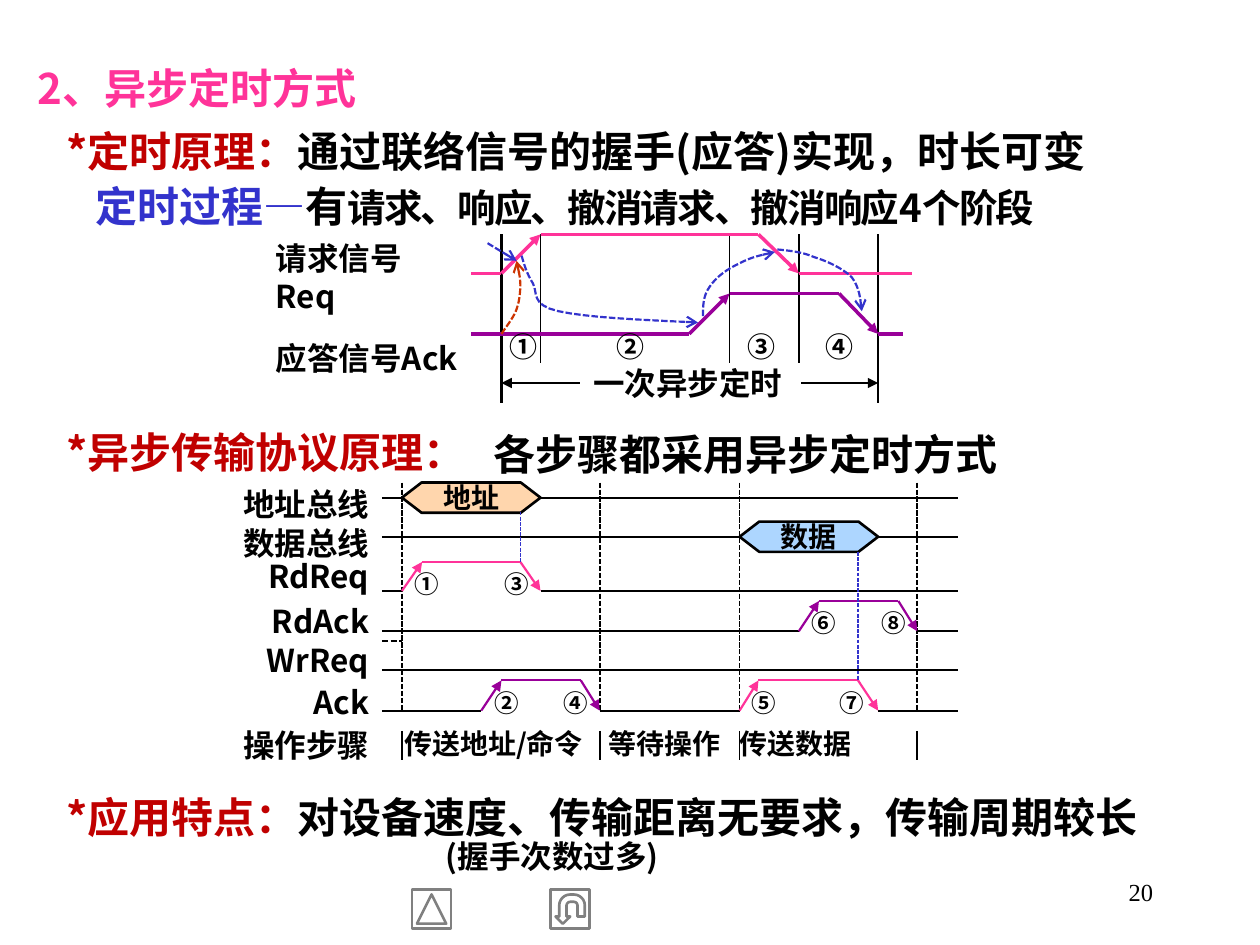
from typing import NamedTuple, Optional

from lxml import etree
from pptx import Presentation
from pptx.dml.color import RGBColor
from pptx.enum.dml import MSO_LINE
from pptx.enum.shapes import MSO_CONNECTOR, MSO_SHAPE
from pptx.enum.text import MSO_ANCHOR, PP_ALIGN
from pptx.oxml.ns import qn
from pptx.util import Inches, Pt

LEFT, CENTER, RIGHT = PP_ALIGN.LEFT, PP_ALIGN.CENTER, PP_ALIGN.RIGHT
TOP, MIDDLE = MSO_ANCHOR.TOP, MSO_ANCHOR.MIDDLE
STRAIGHT = MSO_CONNECTOR.STRAIGHT
DASH = MSO_LINE.SQUARE_DOT
BLACK = RGBColor(0x00, 0x00, 0x00)
PINK = RGBColor(0xFF, 0x33, 0x99)
PURPLE = RGBColor(0x99, 0x00, 0x99)
RED = RGBColor(0xC0, 0x00, 0x00)
BLUE = RGBColor(0x33, 0x33, 0xCC)
ORANGE = RGBColor(0xCC, 0x33, 0x00)
PEACH = RGBColor(0xFF, 0xCC, 0x99)
SKY = RGBColor(0x99, 0xCC, 0xFF)
GRAY = RGBColor(0x80, 0x80, 0x80)
CJK = "Noto Sans CJK SC"


class Run(NamedTuple):
    text: str
    size: float = 24
    color: RGBColor = BLACK
    tracking: float = 0
    font: str = CJK
    bold: bool = True


class Para(NamedTuple):
    runs: list[Run]
    pitch: Optional[float] = None
    before: float = 0
    indent: float = 0
    align: PP_ALIGN = LEFT


class Stroke(NamedTuple):
    color: RGBColor
    width: float
    dashed: bool = False
    head: Optional[str] = None


class Pulse(NamedTuple):
    """A signal that rises from x[0] to x[1] and falls from x[2] to x[3]."""
    x: tuple[float, float, float, float]
    low: float
    high: float
    color: RGBColor
    width: float


def fill_frame(frame, paras: list[Para]) -> None:
    for i, para in enumerate(paras):
        p = frame.paragraphs[0] if i == 0 else frame.add_paragraph()
        p.alignment = para.align
        if para.pitch:
            p.line_spacing = Pt(para.pitch)
        if para.before:
            p.space_before = Pt(para.before)
        if para.indent:
            p._p.get_or_add_pPr().set("marL", str(Inches(para.indent)))
        for part in para.runs:
            run = p.add_run()
            run.text = part.text
            run.font.size, run.font.bold = Pt(part.size), part.bold
            run.font.name = part.font
            run.font.color.rgb = part.color
            properties = run._r.get_or_add_rPr()
            etree.SubElement(properties, qn("a:ea")).set("typeface", part.font)
            if part.tracking:
                properties.set("spc", str(int(part.tracking * 100)))


def add_text(shapes, left: float, top: float, width: float, height: float, paras: list[Para],
             inset: tuple[float, float] = (0.02, 0.01), anchor: MSO_ANCHOR = TOP,
             wrap: bool = True) -> None:
    frame = shapes.add_textbox(Inches(left), Inches(top), Inches(width), Inches(height)).text_frame
    frame.word_wrap = wrap
    frame.vertical_anchor = anchor
    frame.margin_left = frame.margin_right = Inches(inset[0])
    frame.margin_top = frame.margin_bottom = Inches(inset[1])
    fill_frame(frame, paras)


def apply_stroke(line, stroke: Stroke) -> None:
    line.color.rgb = stroke.color
    line.width = Pt(stroke.width)
    if stroke.dashed:
        line.dash_style = DASH
    if stroke.head:
        etree.SubElement(line._get_or_add_ln(), qn("a:tailEnd")).set("type", stroke.head)


def add_line(shapes, x1: float, y1: float, x2: float, y2: float, stroke: Stroke) -> None:
    line = shapes.add_connector(STRAIGHT, Inches(x1), Inches(y1), Inches(x2), Inches(y2))
    apply_stroke(line.line, stroke)
    etree.SubElement(line._element.spPr, qn("a:effectLst"))


def add_pulse(shapes, pulse: Pulse) -> None:
    a, b, c, d = pulse.x
    plain = Stroke(pulse.color, pulse.width)
    edge = plain._replace(head="triangle")
    add_line(shapes, a, pulse.low, b, pulse.high, edge)
    add_line(shapes, b, pulse.high, c, pulse.high, plain)
    add_line(shapes, c, pulse.high, d, pulse.low, edge)


def add_curve(shapes, knots: list[tuple[float, float]], stroke: Stroke, steps: int = 8) -> None:
    """Draw chained cubic Bezier curves: a start, then two controls and an end for each."""
    points = []
    for k in range(0, len(knots) - 1, 3):
        for t in (n / steps for n in range(1, steps + 1)):
            weights = ((1 - t) ** 3, 3 * t * (1 - t) ** 2, 3 * t * t * (1 - t), t ** 3)
            points.append(tuple(Inches(sum(w * p[axis] for w, p in zip(weights, knots[k:k + 4])))
                                for axis in (0, 1)))
    builder = shapes.build_freeform(Inches(knots[0][0]), Inches(knots[0][1]))
    builder.add_line_segments(points, close=False)
    curve = builder.convert_to_shape()
    curve.shadow.inherit = False
    curve.fill.background()
    apply_stroke(curve.line, stroke)


def add_bus_value(shapes, left: float, top: float, text: str, color: RGBColor) -> None:
    value = shapes.add_shape(MSO_SHAPE.HEXAGON, Inches(left), Inches(top), Inches(1.1), Inches(0.24))
    value.adjustments[0] = 0.65
    value.shadow.inherit = False
    value.fill.solid()
    value.fill.fore_color.rgb = color
    tint = value._element.spPr.find(qn("a:solidFill"))[0]
    etree.SubElement(tint, qn("a:alpha")).set("val", "80000")
    apply_stroke(value.line, Stroke(BLACK, 1.5))
    value.text_frame.word_wrap = False
    value.text_frame.vertical_anchor = MIDDLE
    fill_frame(value.text_frame, [Para([Run(text, 16)], align=CENTER)])


def add_button(shapes, kind: MSO_SHAPE, left: float, rotation: float) -> None:
    button = shapes.add_shape(kind, Inches(left), Inches(7.06), Inches(0.31), Inches(0.31))
    button.rotation = rotation
    button.shadow.inherit = False
    button.fill.background()
    apply_stroke(button.line, Stroke(GRAY, 1.5))


def add_marks(shapes, marks: list[tuple[str, float, float]], size: float) -> None:
    for digit, left, top in marks:
        add_text(shapes, left, top, 0.24, 0.24, [Para([Run(digit, size)], align=CENTER)],
                 anchor=MIDDLE, wrap=False)


def add_headings(shapes) -> None:
    body = (0.1, 0.05)
    add_text(shapes, 0.2, 0.35, 9.61, 3.6, [
        Para([Run("2、异步定时方式", color=PINK)], 36),
        Para([Run("*定时原理：", color=RED), Run("通过联络信号的握手(应答)实现，时长可变")], 36, indent=0.23),
        Para([Run("*异步传输协议原理：", color=RED)], 36, 136, 0.23)], body)
    add_text(shapes, 3.82, 3.25, 5.99, 0.61, [Para([Run("各步骤都采用异步定时方式")], 36)], body)
    add_text(shapes, 0.2, 1.28, 9.61, 0.61, [Para([
        Run("定时过程—", color=BLUE), Run("有"),
        Run("请求、响应、撤消请求、撤消响应4个阶段", 22, tracking=-1)], 36, indent=0.46)], body)
    add_text(shapes, 0.2, 6.13, 9.61, 0.88, [
        Para([Run("*应用特点：", color=RED), Run("对设备速度、传输距离无要求，传输周期较长")], 36, indent=0.23),
        Para([Run("(握手次数过多)", 18)], 19, indent=3.24)], body)
    add_text(shapes, 7.17, 6.83, 2.08, 0.5, [Para(
        [Run("20", 14, font="Times New Roman", bold=False)], align=RIGHT)], body, MIDDLE)


def add_handshake(shapes) -> None:
    add_text(shapes, 2.17, 1.88, 1.5, 1.4, [Para([Run("请求信号Req", 18)], 22),
                                            Para([Run("应答信号Ack", 18)], 22, 13)])
    add_text(shapes, 4.57, 2.88, 1.78, 0.32, [Para([Run("一次异步定时", 18)], align=CENTER)],
             anchor=MIDDLE)
    for x, bottom in ((3.98, 3.2), (4.29, 2.88), (5.79, 2.88), (6.34, 2.88), (6.97, 3.2)):
        add_line(shapes, x, 1.86, x, bottom, Stroke(BLACK, 1.25 if bottom == 3.2 else 1))
    for x1, x2, y, color in ((3.74, 3.98, 2.17, PINK), (6.34, 7.24, 2.17, PINK),
                             (3.74, 5.47, 2.65, PURPLE), (6.97, 7.17, 2.65, PURPLE)):
        add_line(shapes, x1, y, x2, y, Stroke(color, 2))
    add_pulse(shapes, Pulse((3.98, 4.29, 6.02, 6.34), 2.17, 1.86, PINK, 2))
    add_pulse(shapes, Pulse((5.47, 5.79, 6.66, 6.97), 2.65, 2.33, PURPLE, 2))
    for x1, x2 in ((4.6, 3.98), (6.36, 6.97)):
        add_line(shapes, x1, 3.04, x2, 3.04, Stroke(BLACK, 1.25, head="triangle"))
    cause = Stroke(BLUE, 1.25, True, "arrow")
    add_line(shapes, 3.87, 1.93, 4.1, 2.07, cause)
    add_curve(shapes, [(5.58, 2.51), (5.58, 2.43), (5.58, 2.35), (5.63, 2.28), (5.68, 2.2),
                       (5.78, 2.13), (5.87, 2.09), (5.96, 2.04), (6.06, 2.02), (6.15, 2)], cause)
    add_curve(shapes, [(4.14, 2.03), (4.16, 2.1), (4.18, 2.17), (4.23, 2.25), (4.27, 2.32),
                       (4.21, 2.42), (4.43, 2.47), (4.65, 2.52), (5.09, 2.54), (5.54, 2.56)], cause)
    add_curve(shapes, [(6.17, 1.98), (6.27, 1.99), (6.37, 2), (6.46, 2.04), (6.56, 2.07),
                       (6.69, 2.13), (6.76, 2.2), (6.82, 2.28), (6.83, 2.37), (6.84, 2.47)], cause)
    add_curve(shapes, [(3.98, 2.65), (4.02, 2.59), (4.06, 2.54), (4.09, 2.48), (4.12, 2.41),
                       (4.13, 2.33), (4.13, 2.26), (4.13, 2.19), (4.11, 2.13), (4.1, 2.07)],
              cause._replace(color=ORANGE))
    add_marks(shapes, [("①", 4.02, 2.63), ("②", 4.87, 2.63), ("③", 5.91, 2.63), ("④", 6.53, 2.63)], 16)


def add_protocol(shapes) -> None:
    signals = (("地址总线", 26), ("数据总线", 22), ("RdReq", 19), ("RdAck", 26), ("WrReq", 22),
               ("Ack", 24), ("操作步骤", 24.5))
    add_text(shapes, 1.85, 3.78, 1.1, 2.28,
             [Para([Run(name, 18)], pitch, align=RIGHT) for name, pitch in signals])
    for x in (3.19, 4.76, 5.87, 7.28):
        add_line(shapes, x, 3.83, x, 5.64, Stroke(BLACK, 1, True))
        add_line(shapes, x, 5.8, x, 6.03, Stroke(BLACK, 1))
    add_bus_value(shapes, 3.19, 3.83, "地址", PEACH)
    add_bus_value(shapes, 5.87, 4.14, "数据", SKY)
    levels = {3.95: ((3.03, 3.19), (4.29, 7.6)), 4.26: ((3.03, 5.87), (6.97, 7.6)),
              4.69: ((3.03, 3.19), (4.29, 7.6)), 5.01: ((3.03, 6.34), (7.28, 7.6)),
              5.32: ((3.03, 7.6),), 5.64: ((3.03, 3.82), (4.76, 5.87), (6.97, 7.6))}
    for y, spans in levels.items():
        for x1, x2 in spans:
            add_line(shapes, x1, y, x2, y, Stroke(BLACK, 1.25))
    add_line(shapes, 3.03, 5.09, 3.19, 5.09, Stroke(BLACK, 1.25, True))
    for pulse in (Pulse((3.19, 3.35, 4.13, 4.29), 4.69, 4.46, PINK, 1.25),
                  Pulse((6.34, 6.5, 7.13, 7.28), 5.01, 4.77, PURPLE, 1.25),
                  Pulse((3.82, 3.98, 4.61, 4.76), 5.64, 5.4, PURPLE, 1.25),
                  Pulse((5.87, 6.02, 6.81, 6.97), 5.64, 5.4, PINK, 1.25)):
        add_pulse(shapes, pulse)
    for x, top, bottom in ((4.13, 4.06, 4.46), (6.81, 4.38, 5.4)):
        add_line(shapes, x, top, x, bottom, Stroke(BLUE, 0.75, True))
    add_marks(shapes, [("①", 3.27, 4.51), ("③", 3.98, 4.51), ("⑥", 6.42, 4.82), ("⑧", 6.97, 4.82),
                       ("②", 3.9, 5.46), ("④", 4.45, 5.46), ("⑤", 5.94, 5.46), ("⑦", 6.64, 5.46)], 14)
    for left, width, step in ((3.19, 1.57, "传送地址/命令"), (4.81, 1.06, "等待操作"),
                              (5.85, 1.43, "传送数据")):
        add_text(shapes, left, 5.78, width, 0.24, [Para([Run(step, 16)])], anchor=MIDDLE, wrap=False)


def main() -> None:
    deck = Presentation()
    deck.slide_width, deck.slide_height = Inches(10), Inches(7.5)
    shapes = deck.slides.add_slide(deck.slide_layouts[6]).shapes
    add_headings(shapes)
    add_handshake(shapes)
    add_protocol(shapes)
    add_button(shapes, MSO_SHAPE.ACTION_BUTTON_BACK_OR_PREVIOUS, 3.27, 90)
    add_button(shapes, MSO_SHAPE.ACTION_BUTTON_RETURN, 4.37, 180)
    deck.save("out.pptx")


if __name__ == "__main__":
    main()
